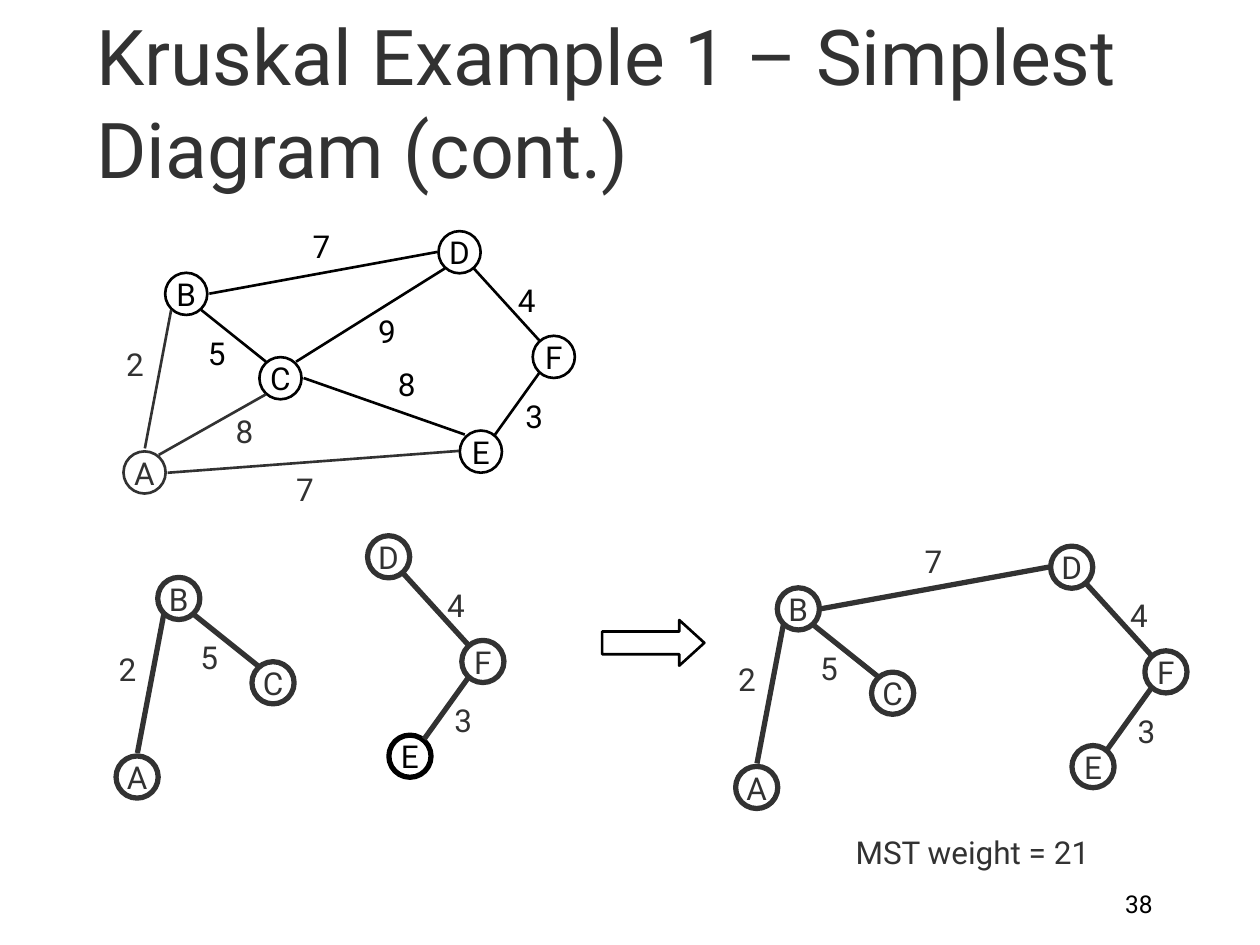
from typing import NamedTuple

from lxml import etree
from pptx import Presentation
from pptx.dml.color import RGBColor
from pptx.enum.shapes import MSO_CONNECTOR, MSO_SHAPE
from pptx.enum.text import MSO_ANCHOR, MSO_AUTO_SIZE, PP_ALIGN
from pptx.oxml.ns import qn
from pptx.util import Cm, Pt

LEFT, CENTER, RIGHT = PP_ALIGN.LEFT, PP_ALIGN.CENTER, PP_ALIGN.RIGHT
TOP, MIDDLE, BOTTOM = MSO_ANCHOR.TOP, MSO_ANCHOR.MIDDLE, MSO_ANCHOR.BOTTOM
STRAIGHT = MSO_CONNECTOR.STRAIGHT
OVAL, ARROW = MSO_SHAPE.OVAL, MSO_SHAPE.RIGHT_ARROW

FONT = "Roboto"
GRAY, BLACK, WHITE = "323232", "000000", "FFFFFF"
NODE_D = 0.85
LABEL_W, LABEL_H = 0.86, 1.02


class Edge(NamedTuple):
    x1: float
    y1: float
    x2: float
    y2: float
    weight: str
    label_x: float
    label_y: float


class Graph(NamedTuple):
    dx: float
    dy: float
    nodes: str
    edges: str
    line_pt: float
    black: str = ""  # nodes and edges drawn in black


# Upper left corner of each node, in cm; every graph shifts this layout
NODES = {
    "A": (2.49, 9.1), "B": (3.33, 5.5), "C": (5.23, 7.2),
    "D": (8.84, 4.66), "E": (9.27, 8.68), "F": (10.74, 6.77),
}
EDGES = {
    "BC": Edge(4.06, 6.25, 5.36, 7.29, "5", 3.94, 6.6),
    "AC": Edge(5.36, 7.95, 3.2, 9.17, "8", 4.5, 8.18),
    "AB": Edge(3.45, 6.25, 2.92, 9.04, "2", 2.29, 6.83),
    "CE": Edge(6.12, 7.62, 9.37, 8.76, "8", 7.77, 7.24),
    "AE": Edge(3.38, 9.53, 9.25, 9.09, "7", 5.72, 9.35),
    "BD": Edge(4.22, 5.92, 8.81, 5.08, "7", 6.05, 4.45),
    "CD": Edge(5.97, 7.29, 8.97, 5.41, "9", 7.37, 6.17),
    "DF": Edge(10.87, 6.86, 9.55, 5.41, "4", 10.19, 5.54),
    "EF": Edge(9.98, 8.76, 10.87, 7.52, "3", 10.34, 7.87),
}
GRAPHS = [
    Graph(-0.15, 6.14, "ABC", "BC AB", 3),
    Graph(-1.43, 6.14, "DEF", "DF EF", 3, "E"),
    Graph(12.34, 6.35, "ABCDEF", "BC AB BD DF EF", 3),
    Graph(0, 0, "ABCDEF", " ".join(EDGES), 1.5,
          "B C D E F BC CE BD CD DF EF"),
]


def color(value: str) -> RGBColor:
    return RGBColor.from_string(value)


def write(sp, text: str, size: float, rgb: str, align=CENTER,
          anchor=TOP, wrap: bool = False) -> None:
    tf = sp.text_frame
    tf.word_wrap = wrap
    tf.vertical_anchor = anchor
    p = tf.paragraphs[0]
    p.text = text
    p.alignment = align
    font = p.runs[0].font
    font.name, font.size = FONT, Pt(size)
    font.color.rgb = color(rgb)


def add_text(s, x: float, y: float, w: float, h: float, text: str,
             size: float, rgb: str, **layout) -> None:
    sp = s.shapes.add_textbox(Cm(x), Cm(y), Cm(w), Cm(h))
    write(sp, text, size, rgb, **layout)


def add_label(s, x: float, y: float, w: float, text: str, rgb: str) -> None:
    sp = s.shapes.add_textbox(Cm(x), Cm(y), Cm(w), Cm(LABEL_H))
    write(sp, text, 18, rgb)
    sp.text_frame.auto_size = MSO_AUTO_SIZE.SHAPE_TO_FIT_TEXT


def add_outline(s, kind, x: float, y: float, w: float, h: float,
                rgb: str, line_pt: float):
    sp = s.shapes.add_shape(kind, Cm(x), Cm(y), Cm(w), Cm(h))
    sp.shadow.inherit = False
    sp.fill.background()
    sp.line.color.rgb = color(rgb)
    sp.line.width = Pt(line_pt)
    return sp


def add_line(s, x1: float, y1: float, x2: float, y2: float,
             rgb: str, line_pt: float) -> None:
    cn = s.shapes.add_connector(STRAIGHT, Cm(x1), Cm(y1), Cm(x2), Cm(y2))
    cn.line.color.rgb = color(rgb)
    cn.line.width = Pt(line_pt)
    etree.SubElement(cn._element.spPr, qn("a:effectLst"))


def draw_graph(s, g: Graph) -> None:
    black = g.black.split()
    for name in g.nodes:
        x, y = NODES[name]
        rgb = BLACK if name in black else GRAY
        sp = add_outline(s, OVAL, x + g.dx, y + g.dy, NODE_D, NODE_D,
                         rgb, g.line_pt)
        write(sp, name, 18, rgb, anchor=MIDDLE)
    for name in g.edges.split():
        e = EDGES[name]
        rgb = BLACK if name in black else GRAY
        add_line(s, e.x1 + g.dx, e.y1 + g.dy, e.x2 + g.dx, e.y2 + g.dy,
                 rgb, g.line_pt)
        add_label(s, e.label_x + g.dx, e.label_y + g.dy, LABEL_W,
                  e.weight, rgb)


def main() -> None:
    prs = Presentation()
    prs.slide_width, prs.slide_height = Cm(25.4), Cm(19.05)
    s = prs.slides.add_slide(prs.slide_layouts[6])
    s.background.fill.solid()
    s.background.fill.fore_color.rgb = color(WHITE)

    # Title and page number
    add_text(s, 1.69, 0.85, 21.59, 3.18,
             "Kruskal Example 1 – Simplest Diagram (cont.)", 44, GRAY,
             align=LEFT, anchor=BOTTOM, wrap=True)
    add_text(s, 18.2, 17.36, 5.29, 1.27, "38", 14, BLACK,
             align=RIGHT, anchor=BOTTOM, wrap=True)

    # Weighted graph, forest and spanning tree
    for g in GRAPHS:
        draw_graph(s, g)

    # Step from forest to spanning tree
    arrow = add_outline(s, ARROW, 12.14, 12.5, 2.06, 0.92, BLACK, 1.5)
    arrow.adjustments[1] = 0.55
    add_label(s, 16.81, 16.66, 5.59, "MST weight = 21", GRAY)

    prs.save("out.pptx")


if __name__ == "__main__":
    main()
